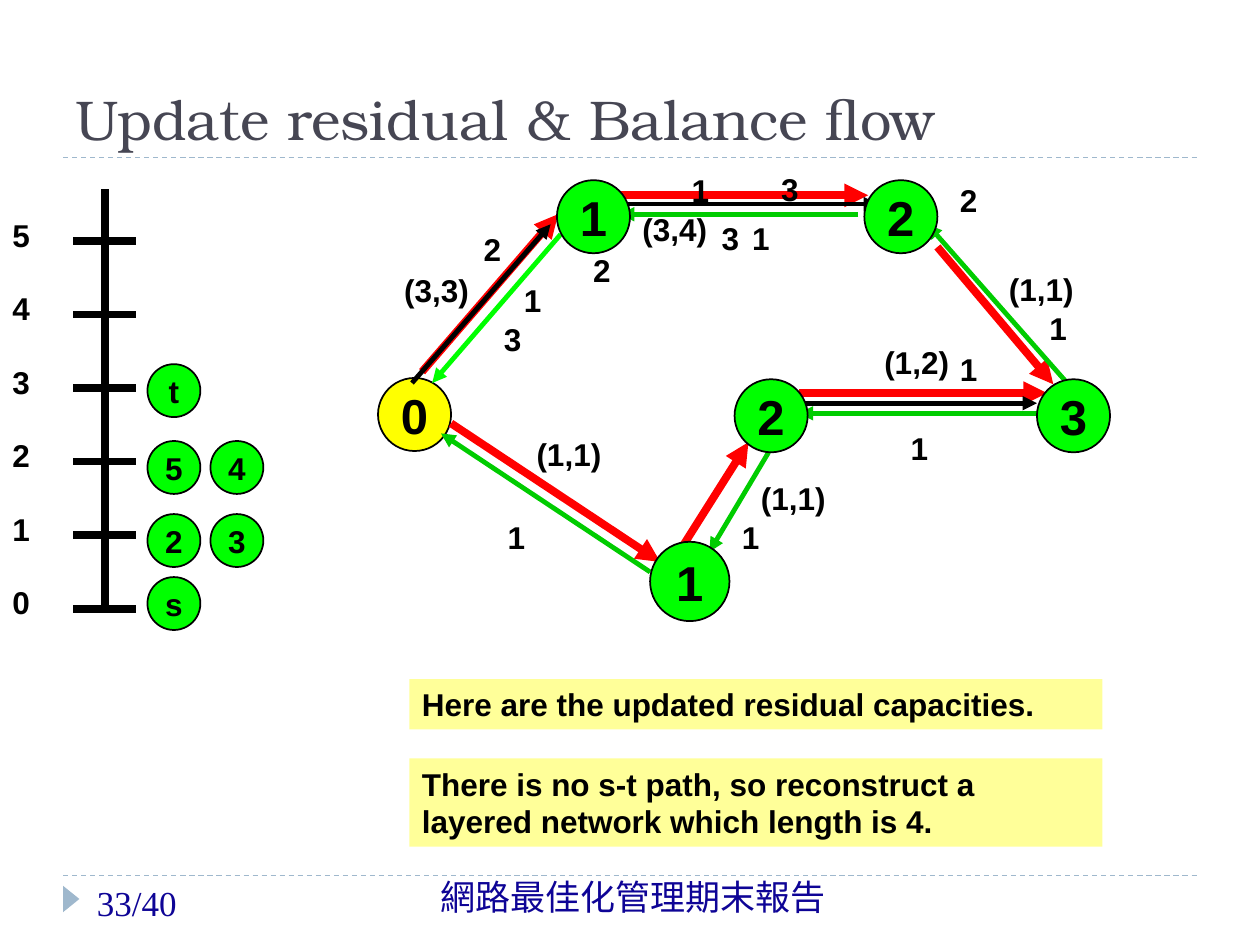
from typing import NamedTuple

from lxml import etree
from pptx import Presentation
from pptx.dml.color import RGBColor
from pptx.enum.dml import MSO_LINE
from pptx.enum.shapes import MSO_CONNECTOR, MSO_SHAPE
from pptx.enum.text import MSO_ANCHOR, PP_ALIGN
from pptx.oxml.ns import qn
from pptx.util import Inches, Pt

STRAIGHT = MSO_CONNECTOR.STRAIGHT
OVAL, RECTANGLE, TRIANGLE = MSO_SHAPE.OVAL, MSO_SHAPE.RECTANGLE, MSO_SHAPE.ISOSCELES_TRIANGLE
DASH = MSO_LINE.DASH
LEFT, CENTER = PP_ALIGN.LEFT, PP_ALIGN.CENTER
TOP, MIDDLE, BOTTOM = MSO_ANCHOR.TOP, MSO_ANCHOR.MIDDLE, MSO_ANCHOR.BOTTOM

COLORS = {
    "black": "000000", "red": "FF0000", "green": "00CC00", "bright": "00FF00",
    "yellow": "FFFF00", "note": "FFFF99", "rule": "9FB8CD",
    "title": "464653", "footer": "0E0496",
}
LINE_HEIGHT = 0.4


class Node(NamedTuple):
    text: str
    left: float
    top: float
    size: float = 0.58
    points: int = 28
    color: str = "bright"


class Edge(NamedTuple):
    x1: float
    y1: float
    x2: float
    y2: float
    color: str
    width: float = 2.75


class Label(NamedTuple):
    text: str
    left: float
    top: float
    width: float = 0.87


def rgb(name: str) -> RGBColor:
    return RGBColor.from_string(COLORS[name])


def write(box, text: str, points: int = 18, color: str = "black", font: str = "Arial",
          bold: bool = True, align=LEFT, anchor=TOP, wrap: bool = True) -> None:
    frame = box.text_frame
    frame.word_wrap = wrap
    frame.vertical_anchor = anchor
    para = frame.paragraphs[0]
    para.alignment = align
    span = para.add_run()
    span.text = text
    span.font.name, span.font.size, span.font.bold = font, Pt(points), bold
    span.font.color.rgb = rgb(color)


def add_text(shapes, text: str, left: float, top: float, width: float,
             height: float = LINE_HEIGHT, **style) -> None:
    box = shapes.add_textbox(Inches(left), Inches(top), Inches(width), Inches(height))
    write(box, text, **style)


def add_filled(shapes, kind, left: float, top: float, width: float, height: float, color: str):
    shape = shapes.add_shape(kind, Inches(left), Inches(top), Inches(width), Inches(height))
    shape.shadow.inherit = False
    shape.fill.solid()
    shape.fill.fore_color.rgb = rgb(color)
    shape.line.fill.background()
    return shape


def add_line(shapes, edge: Edge, arrow: bool = False, dash: bool = False) -> None:
    line = shapes.add_connector(STRAIGHT, Inches(edge.x1), Inches(edge.y1),
                                Inches(edge.x2), Inches(edge.y2))
    line.line.color.rgb = rgb(edge.color)
    line.line.width = Pt(edge.width)
    if dash:
        line.line.dash_style = DASH
    if arrow:
        etree.SubElement(line.line._get_or_add_ln(), qn("a:tailEnd"), type="triangle")
    etree.SubElement(line._element.spPr, qn("a:effectLst"))


def add_node(shapes, node: Node) -> None:
    circle = add_filled(shapes, OVAL, node.left, node.top, node.size, node.size, node.color)
    circle.line.color.rgb = rgb("black")
    circle.line.width = Pt(1)
    write(circle, node.text, node.points, align=CENTER, anchor=MIDDLE, wrap=False)


SOURCE = Node("0", 3, 3, color="yellow")
NODES = [
    Node("3", 8.23, 3.01), Node("2", 6.86, 1.43), Node("2", 5.83, 3.01),
    Node("1", 4.42, 1.43), Node("1", 5.16, 4.3, 0.63),
]
LAYER_NODES = [
    Node(text, left, top, 0.42, 18) for text, left, top in [
        ("s", 1.17, 4.58), ("2", 1.17, 4.08), ("3", 1.67, 4.08),
        ("5", 1.17, 3.5), ("4", 1.67, 3.5), ("t", 1.17, 2.89)]
]
EDGES = [
    # Augmenting flow
    Edge(3.35, 2.95, 4.43, 1.7, "red", 4.5),
    Edge(3.58, 3.36, 5.24, 4.46, "red", 4.5),
    Edge(7.44, 1.96, 8.36, 3.05, "red", 4.5),
    Edge(4.92, 1.55, 6.89, 1.55, "red", 4.5),
    Edge(5.39, 4.38, 5.94, 3.51, "red", 4.5),
    Edge(6.34, 3.12, 8.31, 3.12, "red", 4.5),
    # Reverse residual arcs
    Edge(8.47, 3.04, 7.36, 1.78, "green"),
    Edge(8.23, 3.28, 6.34, 3.28, "green"),
    Edge(6.81, 1.7, 4.92, 1.7, "green"),
    Edge(6.1, 3.59, 5.63, 4.38, "green"),
    Edge(4.45, 1.86, 3.43, 3.04, "bright"),
    Edge(5.16, 4.54, 3.5, 3.44, "green"),
    # Forward residual arcs
    Edge(6.34, 3.2, 8.23, 3.2, "black"),
    Edge(4.92, 1.62, 6.97, 1.62, "black"),
    Edge(3.27, 3.04, 4.37, 1.78, "black"),
]
LABELS = [
    # Flow and capacity pairs
    Label("(3,4)", 5, 1.62, 0.94), Label("(1,1)", 7.91, 2.09),
    Label("(1,2)", 6.92, 2.67, 0.84), Label("(1,1)", 5.94, 3.75, 0.93),
    Label("(3,3)", 3.11, 2.1, 1.02), Label("(1,1)", 4.16, 3.4, 0.91),
    # Residual values
    Label("2", 7.52, 1.39), Label("1", 8.23, 2.4), Label("1", 7.13, 3.36),
    Label("1", 7.52, 2.73), Label("3", 5.63, 1.69, 0.47), Label("1", 5.39, 1.31, 0.47),
    Label("1", 5.87, 1.69, 0.79), Label("3", 6.1, 1.3, 0.79), Label("1", 5.79, 4.06, 0.91),
    Label("2", 4.61, 1.94), Label("3", 3.9, 2.49, 0.47), Label("1", 4.06, 2.18, 0.47),
    Label("2", 3.74, 1.78, 0.47), Label("1", 3.93, 4.06, 0.91),
]
NOTES = [
    ("Here are the updated residual capacities.", 5.39, 0.4),
    ("There is no s-t path, so reconstruct a layered network which length is 4.", 6.02, 0.7),
]


def add_frame(shapes) -> None:
    for y in (6.95, 1.25):
        add_line(shapes, Edge(0.5, y, 9.5, y, "rule", 0.75), dash=True)
    add_filled(shapes, TRIANGLE, 0.46, 7.07, 0.21, 0.13, "rule").rotation = 90
    add_text(shapes, "網路最佳化管理期末報告", 3.11, 6.9, 3.83, points=20,
             color="footer", font="Calibri", bold=False, align=CENTER)
    add_text(shapes, "33/40", 0.67, 6.95, 2.17, points=20,
             color="footer", font="Times New Roman", bold=False)
    add_text(shapes, "Update residual & Balance flow", 0.5, 0.25, 9, 1, points=32,
             color="title", font="TeX Gyre Bonum", bold=False, anchor=BOTTOM)


def add_layer_axis(shapes) -> None:
    axis = shapes.add_group_shape().shapes
    add_line(axis, Edge(0.83, 1.5, 0.83, 4.83, "black", 4.5))
    for layer in range(6):
        y = 4.83 - layer * 3.5 / 6
        add_line(axis, Edge(0.58, y, 1.08, y, "black", 4.5))
        add_text(axis, str(layer), 0, y - 0.25, 0.42)


def main() -> None:
    deck = Presentation()
    deck.slide_width, deck.slide_height = Inches(10), Inches(7.5)
    page = deck.slides.add_slide(deck.slide_layouts[6])
    shapes = page.shapes

    # Title, rules and footer
    add_frame(shapes)

    # Layer scale with its nodes
    add_layer_axis(shapes)
    for node in LAYER_NODES:
        add_node(shapes, node)

    # Notes
    for text, top, height in NOTES:
        note = add_filled(shapes, RECTANGLE, 3.25, top, 5.5, height, "note")
        write(note, text)

    # Network: the source lies under the arrows, the other nodes over them
    add_node(shapes, SOURCE)
    for edge in EDGES:
        add_line(shapes, edge, arrow=True)
    for label in LABELS:
        add_text(shapes, *label)
    for node in NODES:
        add_node(shapes, node)

    deck.save("out.pptx")


if __name__ == "__main__":
    main()
